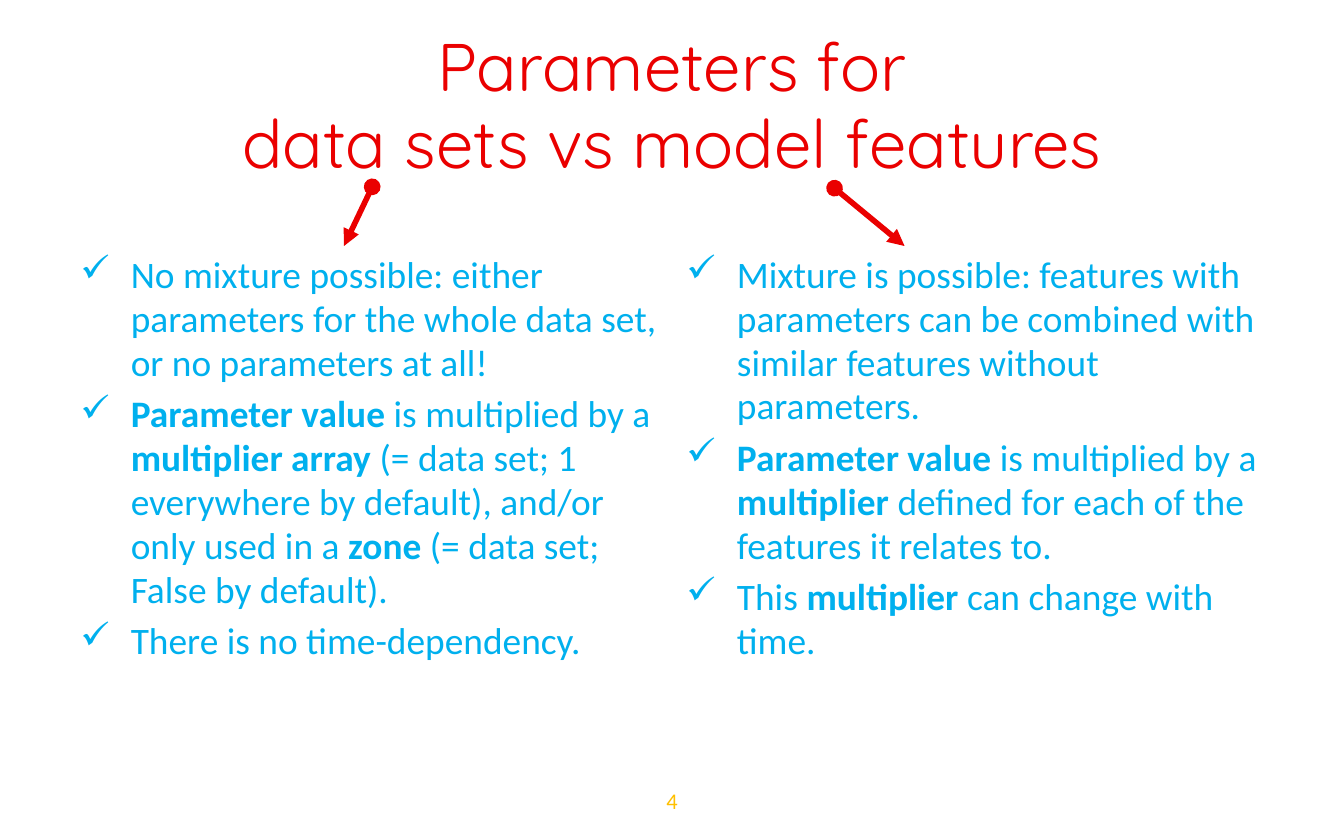
from dataclasses import dataclass

import pptx
import pptx.dml.color
import pptx.enum.shapes
import pptx.enum.text
import pptx.oxml
import pptx.oxml.ns
import pptx.util
from lxml import etree

Pt = pptx.util.Pt
RGB = pptx.dml.color.RGBColor
Align = pptx.enum.text.PP_ALIGN
Anchor = pptx.enum.text.MSO_ANCHOR

RED = RGB(0xEA, 0x00, 0x00)
BLUE = RGB(0x00, 0xB0, 0xEE)
GOLD = RGB(0xFF, 0xC0, 0x00)
INDENT = Pt(27)


@dataclass
class Box:
    left: float
    top: float
    width: float
    height: float


@dataclass
class Style:
    font: str
    size: float
    color: RGB
    space: float = 1.0


@dataclass
class Arrow:
    start: tuple[float, float]
    end: tuple[float, float]


@dataclass
class Column:
    box: Box
    items: list[str]  # asterisks enclose bold words


TITLE = Style("Quicksand", 36, RED, 0.95)
BODY = Style("Calibri", 20, BLUE, 0.98)
NUMBER = Style("Calibri", 12, GOLD)

COLUMNS = [
    Column(Box(36, 132.3, 324, 296.6), [
        "No mixture possible: either parameters for the whole data set, "
        "or no parameters at all!",
        "*Parameter value *is multiplied by a *multiplier array *(= data set; "
        "1 everywhere by default), and/or only used in a *zone* (= data set; "
        "False by default).",
        "There is no time-dependency.",
    ]),
    Column(Box(360.7, 132, 324, 296.6), [
        "Mixture is possible: features with parameters can be combined with "
        "similar features without parameters.",
        "*Parameter value *is multiplied by a *multiplier* defined for each "
        "of the features it relates to.",
        "This *multiplier* can change with time.",
    ]),
]

ARROWS = [
    Arrow((199.4, 100.1), (184.3, 131.8)),
    Arrow((447.1, 100.8), (484.6, 131.8)),
]


def add_box(slide, box: Box, anchor):
    shape = slide.shapes.add_textbox(
        Pt(box.left), Pt(box.top), Pt(box.width), Pt(box.height))
    frame = shape.text_frame
    frame.word_wrap = True
    frame.vertical_anchor = anchor
    return frame


def set_style(para, style: Style) -> None:
    para.font.name = style.font
    para.font.size = Pt(style.size)
    para.font.color.rgb = style.color
    para.line_spacing = style.space


def add_label(slide, box: Box, text: str, style: Style) -> None:
    para = add_box(slide, box, Anchor.MIDDLE).paragraphs[0]
    para.text = text
    para.alignment = Align.CENTER
    set_style(para, style)


def add_check(para) -> None:
    props = para._p.get_or_add_pPr()
    props.set("marL", str(INDENT))
    props.set("indent", str(-INDENT))
    mark = pptx.oxml.parse_xml(
        f'<a:buChar {pptx.oxml.ns.nsdecls("a")} char="✓"/>')
    props.find(pptx.oxml.ns.qn("a:defRPr")).addprevious(mark)


def add_column(slide, column: Column) -> None:
    frame = add_box(slide, column.box, Anchor.TOP)
    for index, item in enumerate(column.items):
        para = frame.add_paragraph() if index else frame.paragraphs[0]
        set_style(para, BODY)
        para.space_before = Pt(4 if index else 0)
        add_check(para)
        for order, part in enumerate(item.split("*")):
            if part:
                run = para.add_run()
                run.text = part
                run.font.bold = order % 2 == 1


def add_arrow(slide, arrow: Arrow) -> None:
    line = slide.shapes.add_connector(
        pptx.enum.shapes.MSO_CONNECTOR.STRAIGHT,
        *map(Pt, arrow.start + arrow.end))
    line.line.color.rgb = RED
    line.line.width = Pt(3)
    qn = pptx.oxml.ns.qn
    stroke = line.line._get_or_add_ln()
    etree.SubElement(stroke, qn("a:headEnd"), type="oval")
    etree.SubElement(stroke, qn("a:tailEnd"), type="triangle")
    etree.SubElement(line._element.spPr, qn("a:effectLst"))


def main() -> None:
    deck = pptx.Presentation()
    deck.slide_width, deck.slide_height = Pt(720), Pt(450)
    slide = deck.slides.add_slide(deck.slide_layouts[6])

    # Title
    add_label(slide, Box(36, 20, 648, 75),
              "Parameters for\vdata sets vs model features", TITLE)

    # Arrows from the title to the columns
    for arrow in ARROWS:
        add_arrow(slide, arrow)

    # Checklists
    for column in COLUMNS:
        add_column(slide, column)

    # Page number
    add_label(slide, Box(276, 417, 168, 24), "4", NUMBER)

    deck.save("out.pptx")


if __name__ == "__main__":
    main()
